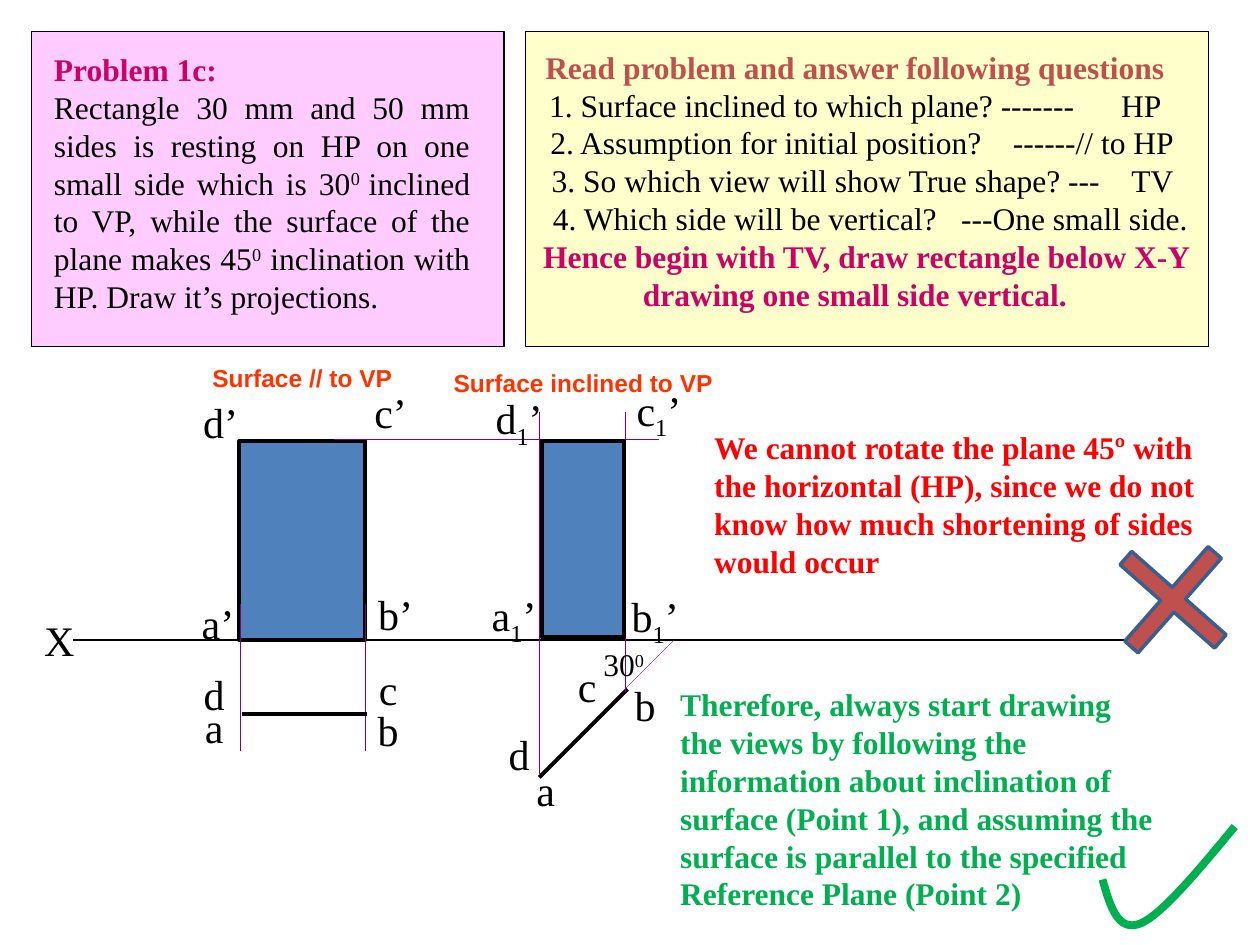
from pptx import Presentation
from pptx.dml.color import RGBColor
from pptx.enum.shapes import MSO_CONNECTOR, MSO_SHAPE
from pptx.enum.text import PP_ALIGN as Align
from pptx.oxml.ns import qn
from pptx.util import Inches, Pt
from lxml.etree import SubElement

SERIF = "Times New Roman"
BLACK, BLUE, PURPLE = "000000", "4F81BD", "800080"
MAGENTA, BRICK, GREEN = "CC0066", "C0504D", "00B050"
SUB, SUPER = -25000, 30000


def color(value):
    return RGBColor.from_string(value)


def add_box(slide, kind, left, top, width, height, fill, line=BLACK, weight=0.75):
    box = slide.shapes.add_shape(kind, Inches(left), Inches(top), Inches(width), Inches(height))
    box.shadow.inherit = False
    box.fill.solid()
    box.fill.fore_color.rgb = color(fill)
    box.line.color.rgb = color(line)
    box.line.width = Pt(weight)
    return box


def add_line(slide, x1, y1, x2, y2, line=PURPLE, weight=0.25):
    connector = slide.shapes.add_connector(
        MSO_CONNECTOR.STRAIGHT, Inches(x1), Inches(y1), Inches(x2), Inches(y2))
    connector.line.color.rgb = color(line)
    connector.line.width = Pt(weight)
    SubElement(connector._element.spPr, qn("a:effectLst"))


def add_frame(slide, left, top, width, height):
    box = slide.shapes.add_textbox(Inches(left), Inches(top), Inches(width), Inches(height))
    box.text_frame.word_wrap = True
    return box.text_frame


def write(paragraph, text, size=18, ink=BLACK, bold=False, align=Align.LEFT,
          font=SERIF, shift=SUPER):
    for index, part in enumerate(text.split("|")):
        if part:
            run = paragraph.add_run()
            run.text = part
            if index % 2:
                run.font._element.set("baseline", str(shift))
    paragraph.alignment = align
    paragraph.font.name = font
    paragraph.font.size = Pt(size)
    paragraph.font.bold = bold
    paragraph.font.color.rgb = color(ink)


def add_label(slide, text, center, top, width=0.75, height=0.5, **style):
    frame = add_frame(slide, center - width / 2, top, width, height)
    write(frame.paragraphs[0], text, **{"size": 24, "align": Align.CENTER, "shift": SUB, **style})


def add_caption(slide, text, center, top):
    add_label(slide, text, center, top, width=2.5, height=0.34,
              size=14, ink="FF3300", bold=True, font="Arial")


def add_labels(slide, left, top, labels):
    for text, dx, dy in labels:
        add_label(slide, text, left + dx, top + dy)


def set_tabs(paragraph, *stops):
    tabs = SubElement(paragraph._p.get_or_add_pPr(), qn("a:tabLst"))
    for stop in stops:
        SubElement(tabs, qn("a:tab"), pos=str(Inches(stop)), algn="l")


def problem_panel(slide, left, top, width, height):
    add_box(slide, MSO_SHAPE.RECTANGLE, left, top, width, height, "FFCCFF")
    frame = add_frame(slide, left + 0.08, top + 0.1, width - 0.25, height - 0.3)
    write(frame.paragraphs[0], "Problem 1c:", ink=MAGENTA, bold=True, align=Align.JUSTIFY)
    write(frame.add_paragraph(),
          "Rectangle 30 mm and 50 mm sides is resting on HP on one small side which is "
          "30|0 |inclined to VP, while the surface of the plane makes 45|0| inclination "
          "with HP. Draw it’s projections.", align=Align.JUSTIFY)


def question_panel(slide, left, top, width, height):
    add_box(slide, MSO_SHAPE.RECTANGLE, left, top, width, height, "FFFFCC")
    frame = add_frame(slide, left - 0.23, top + 0.08, width + 0.27, height - 0.3)
    write(frame.paragraphs[0], "Read problem and answer following questions",
          ink=BRICK, bold=True, align=Align.CENTER)
    questions = [
        ("1. Surface inclined to which plane? -------", "HP", 4.86),
        ("2. Assumption for initial position?", "------// to HP", 4),
        ("3. So which view will show True shape? ---", "TV", 4.94),
        ("4. Which side will be vertical?", "---One small side.", 3.59),
    ]
    for row, (question, answer, stop) in enumerate(questions):
        paragraph = frame.add_paragraph()
        set_tabs(paragraph, 0.32 + row * 0.01, stop)
        write(paragraph, f"\t{question}\t{answer}")
    hence = frame.add_paragraph()
    hence._p.get_or_add_pPr().set("marL", str(Inches(0.19)))
    write(hence, "Hence begin with TV, draw rectangle below X-Y",
          ink=MAGENTA, bold=True, align=Align.CENTER)
    write(frame.add_paragraph(), "drawing one small side vertical.",
          ink=MAGENTA, bold=True, align=Align.CENTER)


def reference_line(slide, left, top, width):
    add_line(slide, left, top, left + width, top, BLACK, 0.75)
    add_label(slide, "X", left - 0.11, top - 0.25)


def parallel_views(slide, left, top):
    add_box(slide, MSO_SHAPE.RECTANGLE, left, top, 1, 1.58, BLUE, weight=2.25)
    for dx in (0.01, 1):
        add_line(slide, left + dx, top + 2.46, left + dx, top + 1.29)
    add_line(slide, left + 0.02, top + 2.17, left + 1.01, top + 2.17, BLACK, 2.25)
    add_caption(slide, "Surface // to VP", left + 0.5, top - 0.67)
    add_labels(slide, left, top, [
        ("d’", -0.15, -0.4), ("c’", 1.2, -0.48), ("a’", -0.17, 1.19), ("b’", 1.24, 1.12),
        ("d", -0.2, 1.76), ("c", 1.18, 1.72), ("a", -0.2, 2.02), ("b", 1.18, 2.04)])


def inclined_views(slide, left, top):
    add_line(slide, left, top + 2.67, left + 0.7, top + 1.97, BLACK, 2.25)
    add_line(slide, left + 0.68, top - 0.23, left + 0.68, top + 1.99)
    add_line(slide, left, top - 0.23, left, top + 2.64)
    add_line(slide, left - 1.63, top - 0.01, left + 0.95, top - 0.01)
    add_line(slide, left + 0.57, top + 2.08, left + 1.07, top + 1.58)
    add_box(slide, MSO_SHAPE.RECTANGLE, left + 0.02, top, 0.65, 1.56, BLUE, weight=2.25)
    add_caption(slide, "Surface inclined to VP", left + 0.35, top - 0.63)
    add_label(slide, "30|0|", left + 0.67, top + 1.57, size=18, shift=SUPER)
    add_labels(slide, left, top, [
        ("d|1|’", -0.16, -0.43), ("c|1|’", 0.95, -0.5),
        ("a|1|’", -0.2, 1.13), ("b|1|’", 0.92, 1.14),
        ("d", -0.16, 2.23), ("c", 0.38, 1.69), ("a", 0.05, 2.52), ("b", 0.84, 1.84)])


def wrong_way(slide, left, top, width, height):
    cross = add_box(slide, MSO_SHAPE.CROSS, left + 3.24, top + 0.91, 1, 1, BRICK, "3A5F8C", 2)
    cross.adjustments[0] = 0.43
    cross.rotation = 41.4
    frame = add_frame(slide, left, top, width, height)
    write(frame.paragraphs[0],
          "We cannot rotate the plane 45º with the horizontal (HP), since we do not know "
          "how much shortening of sides would occur", ink="FF0000", bold=True)


def bezier(start, first, second, end, steps=16):
    for step in range(1, steps + 1):
        t = step / steps
        weights = ((1 - t) ** 3, 3 * t * (1 - t) ** 2, 3 * t * t * (1 - t), t ** 3)
        yield tuple(Inches(sum(w * p[axis] for w, p in zip(weights, (start, first, second, end))))
                    for axis in (0, 1))


def right_way(slide, left, top, width, height):
    frame = add_frame(slide, left, top, width, height)
    write(frame.paragraphs[0],
          "Therefore, always start drawing the views by following the information about "
          "inclination of surface (Point 1), and assuming the surface is parallel to the "
          "specified Reference Plane (Point 2)", ink=GREEN, bold=True)
    offsets = [(3.45, 1.59), (3.51, 1.8), (3.57, 2.01), (3.75, 1.94),
               (3.92, 1.87), (4.21, 1.52), (4.5, 1.17)]
    points = [(left + dx, top + dy) for dx, dy in offsets]
    builder = slide.shapes.build_freeform(Inches(points[0][0]), Inches(points[0][1]))
    builder.add_line_segments([*bezier(*points[:4]), *bezier(*points[3:])], close=False)
    tick = builder.convert_to_shape()
    tick.shadow.inherit = False
    tick.fill.background()
    tick.line.color.rgb = color(GREEN)
    tick.line.width = Pt(4.5)


def main():
    deck = Presentation()
    deck.slide_width, deck.slide_height = Inches(10), Inches(7.5)
    slide = deck.slides.add_slide(deck.slide_layouts[6])
    reference_line(slide, 0.58, 5.08, 8.5)
    parallel_views(slide, 1.9, 3.5)
    inclined_views(slide, 4.28, 3.5)
    problem_panel(slide, 0.25, 0.25, 3.75, 2.5)
    question_panel(slide, 4.17, 0.25, 5.42, 2.5)
    wrong_way(slide, 5.57, 3.35, 4.01, 1.31)
    right_way(slide, 5.3, 5.39, 4.01, 1.92)
    deck.save("out.pptx")


if __name__ == "__main__":
    main()
